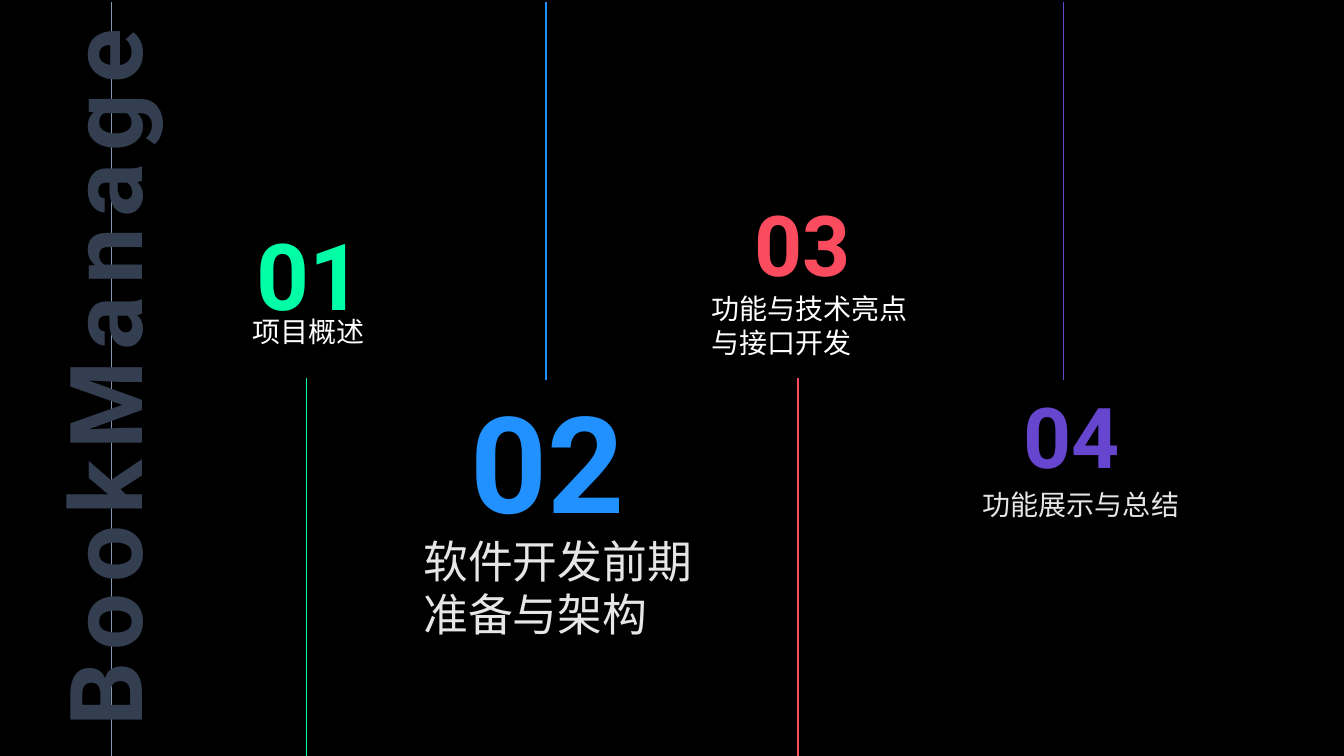
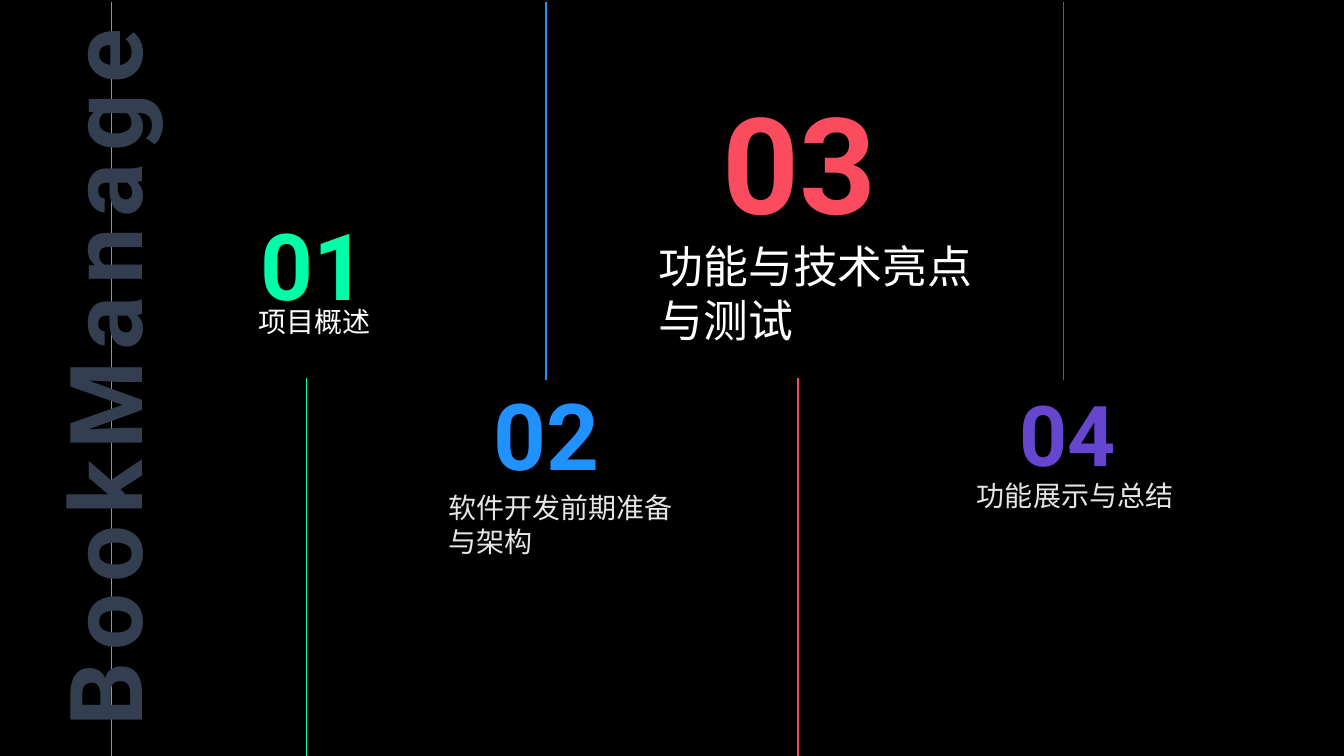
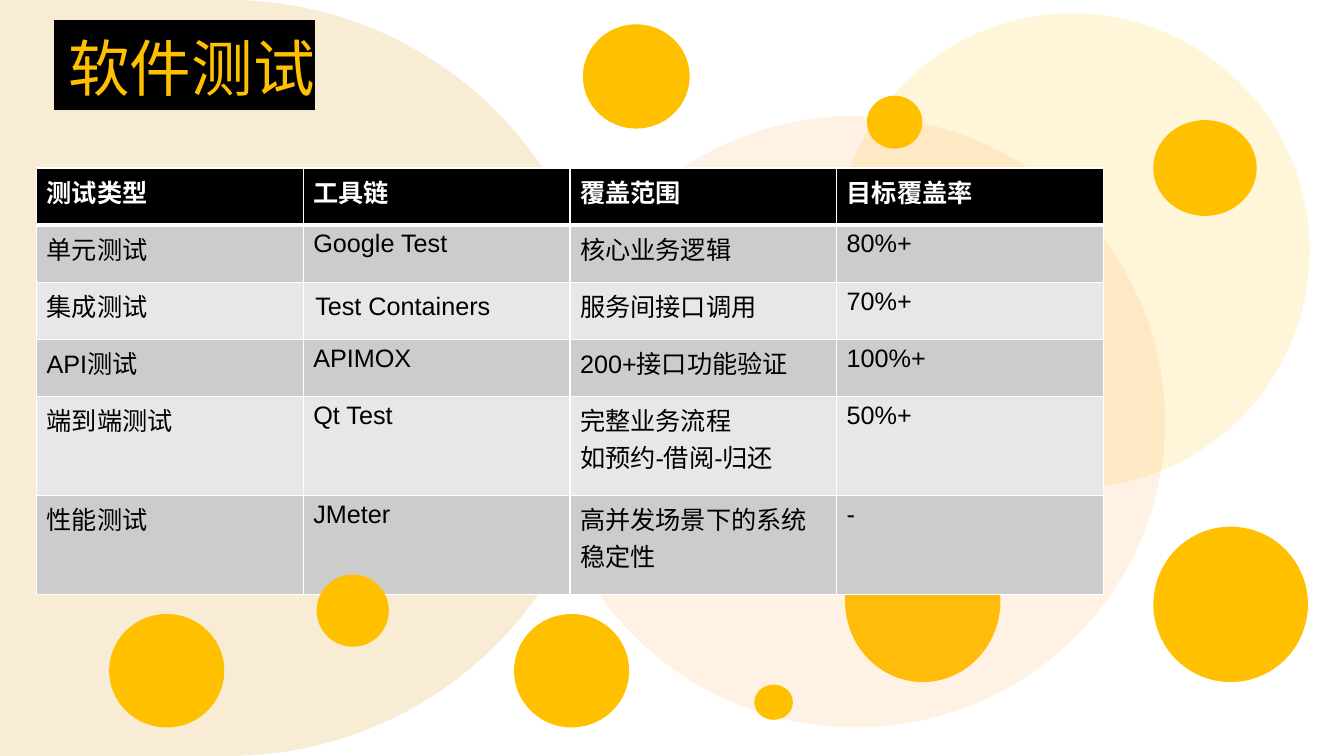
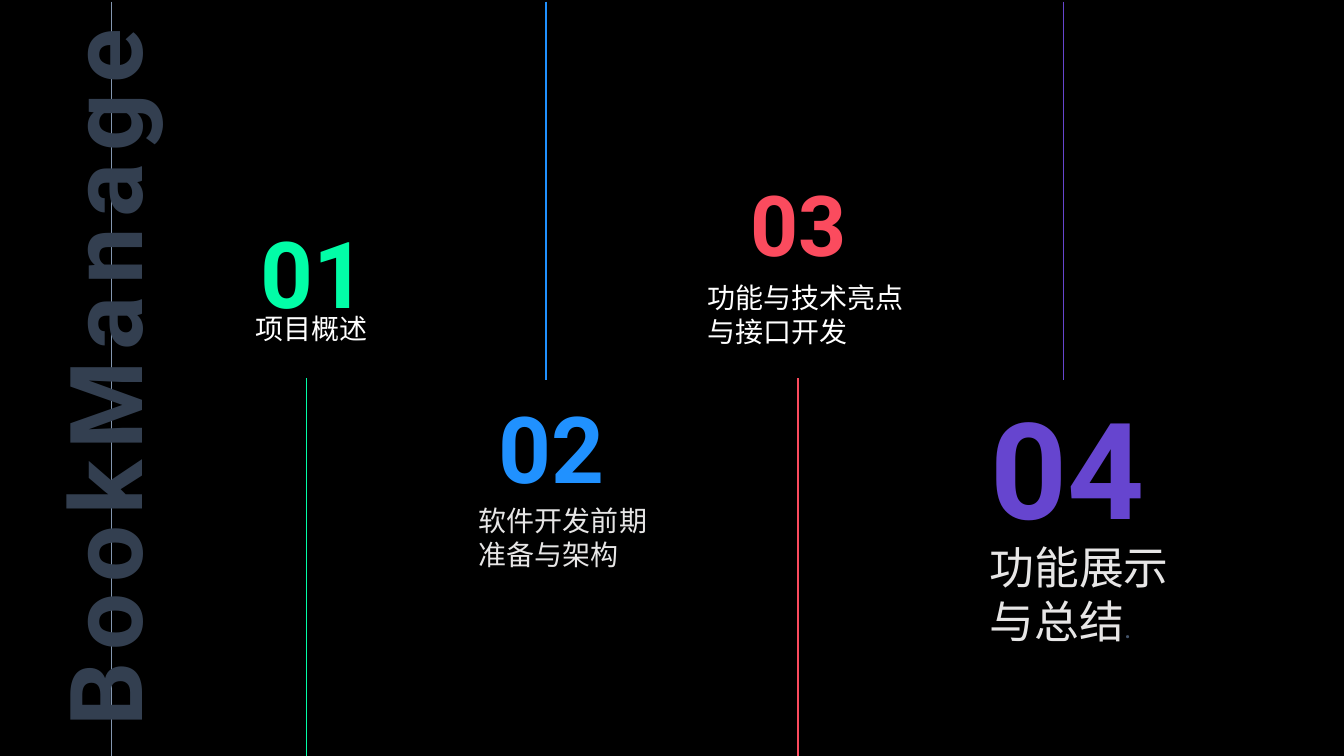
from math import cos, pi, sin

from lxml.etree import SubElement
from pptx import Presentation
from pptx.dml.color import RGBColor
from pptx.enum.shapes import MSO_CONNECTOR, MSO_SHAPE
from pptx.enum.text import MSO_ANCHOR, MSO_AUTO_SIZE, PP_ALIGN
from pptx.oxml.ns import qn
from pptx.util import Inches, Pt

COLS, ROWS = 160, 90
BLACK = RGBColor(0x00, 0x00, 0x00)
WHITE = RGBColor(0xFF, 0xFF, 0xFF)
PALE = RGBColor(0xE7, 0xE6, 0xE6)
SLATE = RGBColor(0x33, 0x3F, 0x50)
STEEL = RGBColor(0x84, 0x97, 0xB0)
DUSK = RGBColor(0x44, 0x54, 0x6A)
GREEN = RGBColor(0x02, 0xFD, 0xA7)
BLUE = RGBColor(0x20, 0x91, 0xFF)
RED = RGBColor(0xFB, 0x4B, 0x5E)
VIOLET = RGBColor(0x66, 0x45, 0xCF)
GOLD = RGBColor(0xFF, 0xC0, 0x00)
PEACH = RGBColor(0xFF, 0xA8, 0x4E)
CREAM = RGBColor(0xF9, 0xEC, 0xD5)
GREY = RGBColor(0xCC, 0xCC, 0xCC)
LIGHT = RGBColor(0xE7, 0xE7, 0xE7)

ROBOTO = ("Roboto", "Roboto")
ARIAL = ("Arial", "Noto Sans CJK SC")
PAD = (Inches(0.1), Inches(0.05))

LANES = (
    ("01", GREEN, WHITE, 36.5, 45),
    ("02", BLUE, PALE, 65, 0.2),
    ("03", RED, WHITE, 95, 45),
    ("04", VIOLET, PALE, 126.6, 0.2),
)


class Deck:
    def __init__(self):
        self.prs = Presentation()
        self.prs.slide_width = Inches(13.333)
        self.prs.slide_height = Inches(7.5)
        self.unit = self.prs.slide_height / ROWS

    def grid(self, *spans):
        return [round(span * self.unit) for span in spans]

    def page(self, color):
        self.slide = self.prs.slides.add_slide(self.prs.slide_layouts[6])
        self.slide.background.fill.solid()
        self.slide.background.fill.fore_color.rgb = color

    def style(self, run, size, color, fonts=ROBOTO, bold=False):
        run.font.size = Pt(size)
        run.font.bold = bold
        run.font.color.rgb = color
        run.font.name = fonts[0]
        SubElement(run.font._element, qn("a:ea"), typeface=fonts[1])

    def text(self, words, box, size, color, fonts=ROBOTO, bold=False,
             align=PP_ALIGN.LEFT, pad=(0, 0)):
        shape = self.slide.shapes.add_textbox(*self.grid(*box))
        frame = shape.text_frame
        frame.word_wrap = True
        frame.auto_size = MSO_AUTO_SIZE.SHAPE_TO_FIT_TEXT
        frame.margin_left = frame.margin_right = pad[0]
        frame.margin_top = frame.margin_bottom = pad[1]
        frame.text = words
        frame.paragraphs[0].alignment = align
        self.style(frame.paragraphs[0].runs[0], size, color, fonts, bold)
        return shape

    def line(self, x, top, end, color, width=1):
        line = self.slide.shapes.add_connector(
            MSO_CONNECTOR.STRAIGHT, *self.grid(x, top, x, end))
        line.line.color.rgb = color
        line.line.width = Pt(width)
        SubElement(line._element.spPr, qn("a:effectLst"))

    def paint(self, shape, color, alpha=None):
        shape.shadow.inherit = False
        shape.fill.solid()
        shape.fill.fore_color.rgb = color
        shape.line.fill.background()
        if alpha:
            tint = shape._element.spPr.find(qn("a:solidFill"))[0]
            SubElement(tint, qn("a:alpha"), val=str(alpha * 1000))

    def disc(self, box, color=GOLD, alpha=None):
        shape = self.slide.shapes.add_shape(MSO_SHAPE.OVAL, *self.grid(*box))
        self.paint(shape, color, alpha)

    def dome(self, mid, color, steps=90):
        half = ROWS / 2
        turns = [pi * (step / steps - 0.5) for step in range(steps + 1)]
        arc = [self.grid(mid + half * cos(turn), half + half * sin(turn))
               for turn in turns]
        form = self.slide.shapes.build_freeform(0, 0)
        form.add_line_segments(arc + [self.grid(0, ROWS)], close=True)
        self.paint(form.convert_to_shape(), color)

    def title(self, words, box):
        shape = self.text(words, box, 44, GOLD, ARIAL, pad=PAD)
        props = shape.text_frame.paragraphs[0].runs[0].font._element
        mark = SubElement(props, qn("a:highlight"))
        SubElement(mark, qn("a:srgbClr"), val=str(BLACK))
        props.find(qn("a:solidFill")).addnext(mark)

    def lane(self, lane, number, label, words):
        name, hue, ink, x, top = lane
        right, y, size = number
        self.line(x, top, top + 45, hue)
        self.text(name, (right - 24, y, 24, size * 0.2 + 1.2), size, hue,
                  bold=True, align=PP_ALIGN.RIGHT, pad=PAD)
        left, y, wide, size = label
        lines = 1 if len(words) * size / 6 < wide else 2
        return self.text(words, (left, y, wide, lines * size * 0.2), size, ink)

    def agenda(self, items):
        self.page(BLACK)
        self.line(13.2, 0.2, ROWS, STEEL, 0.5)
        side = self.text("BookManage", (-31.6, 37.7, 87.7, 14.5), 72, SLATE,
                         bold=True, align=PP_ALIGN.CENTER)
        side.rotation = 270
        side.text_frame.paragraphs[0].runs[0].font._element.set("spc", "800")
        return [self.lane(lane, *item) for lane, item in zip(LANES, items)]

    def edge(self, cell, base):
        props = cell._tc.get_or_add_tcPr()
        for side in "LRTB":
            width = Pt(base if side == "B" else 1)
            line = SubElement(props, qn("a:ln" + side), w=str(width))
            fill = SubElement(line, qn("a:solidFill"))
            SubElement(fill, qn("a:srgbClr"), val=str(WHITE))

    def table(self, rows, box, highs):
        frame = self.slide.shapes.add_table(
            len(rows), len(rows[0]), *self.grid(*box))
        table = frame.table
        table.first_row = table.horz_banding = False
        for line, high in zip(table.rows, highs):
            line.height = self.grid(high)[0]
        for r, row in enumerate(rows):
            head = r == 0
            fill = BLACK if head else GREY if r % 2 else LIGHT
            for c, words in enumerate(row):
                cell = table.cell(r, c)
                self.edge(cell, 3 if head else 1)
                cell.fill.solid()
                cell.fill.fore_color.rgb = fill
                cell.text_frame.text = words
                for para in cell.text_frame.paragraphs:
                    self.style(para.runs[0], 18, WHITE if head else BLACK,
                               ARIAL, head)
        return table


def tests(deck):
    deck.page(WHITE)
    deck.disc((100.6, 61.9, 18.5, 19.3))
    deck.disc((99.4, 1.6, 56.5, 56.5), GOLD, 15)
    deck.disc((64.9, 13.8, 73.8, 72.8), PEACH, 15)
    deck.dome(27.2, CREAM)
    deck.title(" 软件测试", (5.3, 3, 45, 10))
    table = deck.table((
        ("测试类型", "工具链", "覆盖范围", "目标覆盖率"),
        ("单元测试", "Google Test", "核心业务逻辑", "80%+"),
        ("集成测试", "Test Containers", "服务间接口调用", "70%+"),
        ("API测试", "APIMOX", "200+接口功能验证", "100%+"),
        ("端到端测试", "Qt Test", "完整业务流程\n如预约-借阅-归还", "50%+"),
        ("性能测试", "JMeter", "高并发场景下的系统稳定性", "-"),
    ), (4.35, 20, 127, 50.8), (6.8, 6.8, 6.8, 6.8, 11.8, 11.8))
    cell = table.cell(2, 1)
    cell.vertical_anchor = MSO_ANCHOR.MIDDLE
    cell.margin_left = cell.margin_right = Inches(0.12)
    cell.margin_top = cell.margin_bottom = Inches(0.08)
    cell.text_frame.paragraphs[0].line_spacing = Pt(14)
    for box in (
        (137.3, 14.3, 12.3, 11.4), (69.4, 2.9, 12.7, 12.4),
        (103.2, 11.4, 6.6, 6.3), (13, 73.1, 13.7, 13.5),
        (37.7, 68.4, 8.6, 8.6), (137.3, 62.7, 18.4, 18.5),
        (61.2, 73.1, 13.7, 13.5), (89.8, 81.5, 4.6, 4.2),
    ):
        deck.disc(box)


def main():
    deck = Deck()
    intro, prep, close = "项目概述", "软件开发前期准备与架构", "功能展示与总结"
    build = "功能与技术亮点与接口开发"
    deck.agenda((
        ((44.3, 25.4, 66), (30.1, 37.4, 31.7, 20), intro),
        ((75.6, 44.6, 96), (50.4, 63.5, 35.6, 32), prep),
        ((102.5, 22.3, 60), (84.7, 34.7, 25.4, 20), build),
        ((134.5, 45.2, 60), (117, 58, 25.2, 20), close),
    ))
    deck.agenda((
        ((44.8, 24.2, 66), (30.8, 36.2, 23.3, 20), intro),
        ((72.6, 44.4, 66), (53.4, 58.4, 28.6, 20), prep),
        ((105.6, 9, 96), (78.4, 28.4, 37.8, 32), "功能与技术亮点与测试"),
        ((134, 45, 60), (116.3, 57, 23.9, 20), close),
    ))
    tests(deck)
    last = deck.agenda((
        ((44.8, 25.1, 66), (30.4, 37.1, 31.7, 20), intro),
        ((73.2, 46, 66), (57, 60, 22, 20), prep),
        ((102, 20, 60), (84.2, 33.4, 25.4, 20), build),
        ((137.5, 45.2, 96), (117.8, 64.3, 25.6, 32), close),
    ))[-1]
    dot = last.text_frame.paragraphs[0].add_run()
    dot.text = "."
    deck.style(dot, 20, DUSK)
    deck.prs.save("out.pptx")


if __name__ == "__main__":
    main()
